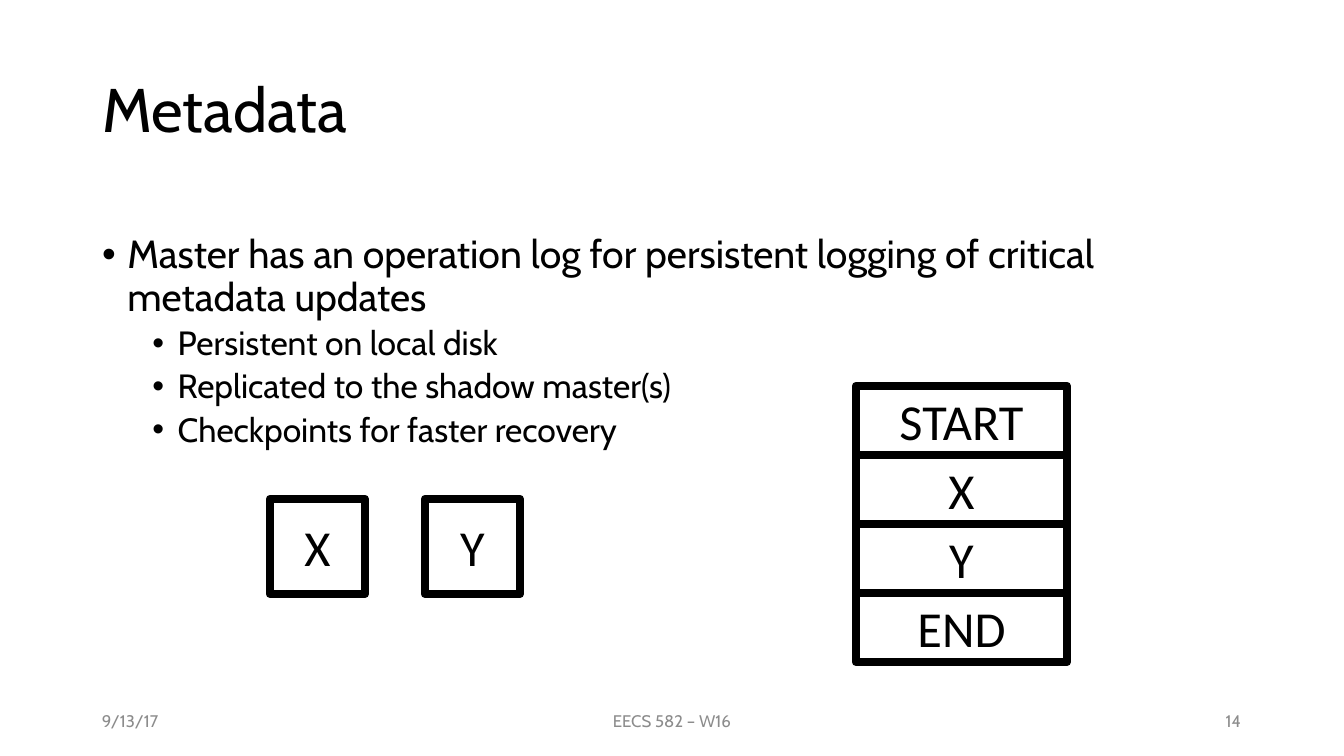
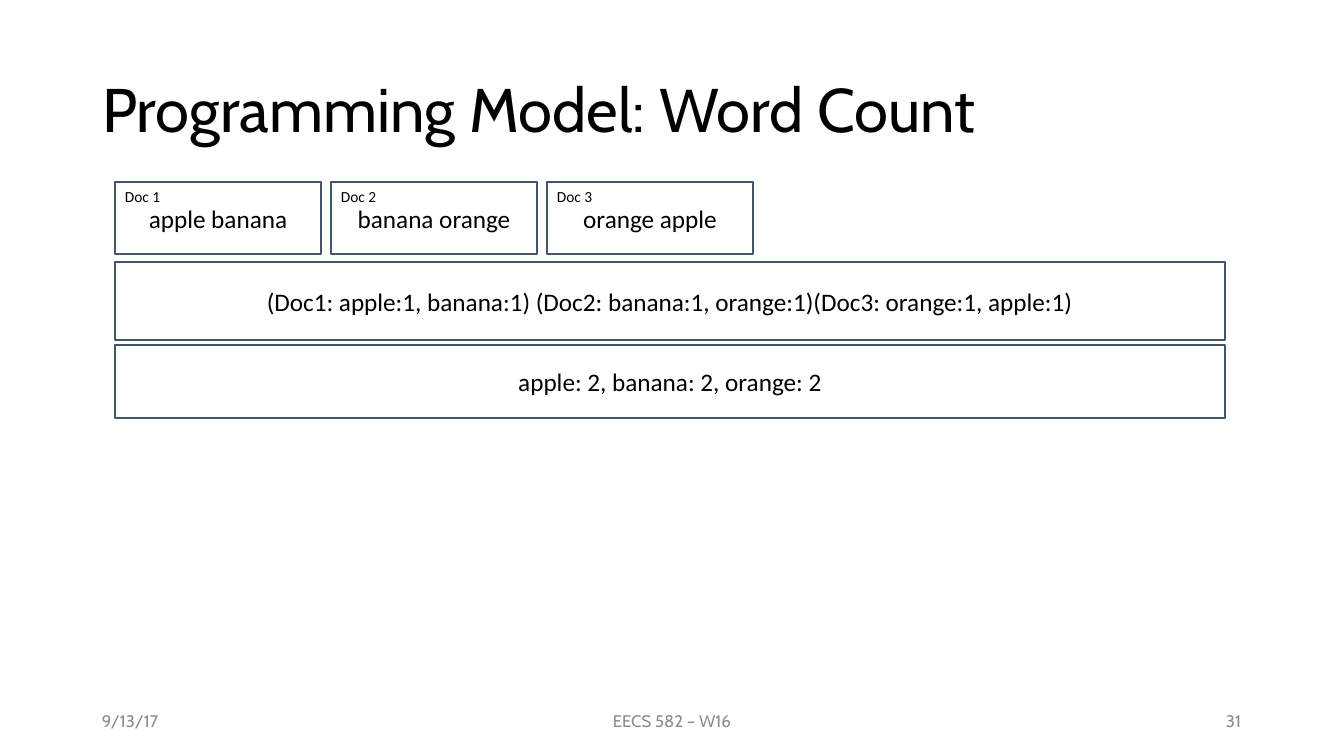
import pptx
import pptx.dml.color
import pptx.enum.shapes
import pptx.enum.text
import pptx.oxml
import pptx.oxml.ns
import pptx.util

PX = 914400 / 100.8
C = {"text": "000000", "muted": "8C8C8C", "paper": "FFFFFF", "slate": "44546A"}
HEAD, PLAIN = "Cabin", "Calibri"
ALIGN = pptx.enum.text.PP_ALIGN
ANCHOR = pptx.enum.text.MSO_ANCHOR
TITLE = (92, 40, 1159, 146)
BODY = (92, 202, 1159, 280)
FOOTERS = (("9/13/17", 92, 302, ALIGN.LEFT), ("EECS 582 – W16", 445, 454, ALIGN.CENTER))


def emu(*px):
    """Turn px lengths into EMU."""
    return [pptx.util.Emu(round(v * PX)) for v in px]


def rgb(name):
    """Look up a named colour."""
    return pptx.dml.color.RGBColor.from_string(C[name])


def write(tf, text, size=18, font=PLAIN, color="text", align=ALIGN.LEFT,
          anchor=ANCHOR.MIDDLE, level=None, spacing=None, before=0):
    """Write one paragraph, bulleted when a level is given."""
    tf.word_wrap = True
    tf.vertical_anchor = anchor
    p = tf.add_paragraph() if tf.text else tf.paragraphs[0]
    if level is not None:
        p.level = level
        pPr = p._p.get_or_add_pPr()
        pPr.set("marL", str(228600 + 457200 * level))
        pPr.set("indent", "-228600")
        ns = pptx.oxml.ns.nsdecls("a")
        pPr.append(pptx.oxml.parse_xml(f'<a:buFont {ns} typeface="Arial"/>'))
        pPr.append(pptx.oxml.parse_xml(f'<a:buChar {ns} char="•"/>'))
    p.alignment = align
    p.space_before = pptx.util.Pt(before)
    if spacing:
        p.line_spacing = spacing
    r = p.add_run()
    r.text = text
    r.font.size = pptx.util.Pt(size)
    r.font.name = font
    r.font.color.rgb = rgb(color)


def place(ph, box):
    """Move a placeholder to a box and return its text frame."""
    ph.left, ph.top, ph.width, ph.height = emu(*box)
    ph.text_frame.auto_size = pptx.enum.text.MSO_AUTO_SIZE.NONE
    return ph.text_frame


def add_label(shapes, text, box, **fmt):
    """Add a text box."""
    write(shapes.add_textbox(*emu(*box)).text_frame, text, **fmt)


def add_box(shapes, text, box, line="slate", weight=1, fill=None, size=18):
    """Add an outlined rectangle with centred text."""
    sp = shapes.add_shape(pptx.enum.shapes.MSO_SHAPE.RECTANGLE, *emu(*box))
    sp.shadow.inherit = False
    if fill:
        sp.fill.solid()
        sp.fill.fore_color.rgb = rgb(fill)
    else:
        sp.fill.background()
    sp.line.color.rgb = rgb(line)
    sp.line.width = pptx.util.Pt(weight)
    write(sp.text_frame, text, size=size, align=ALIGN.CENTER)


def add_slide(prs, layout, title, number):
    """Add a slide with its title and footers."""
    s = prs.slides.add_slide(prs.slide_layouts[layout])
    write(place(s.shapes.title, TITLE), title, size=44, font=HEAD, spacing=0.9)
    for text, x, w, align in FOOTERS + ((number, 949, 302, ALIGN.RIGHT),):
        add_label(s.shapes, text, (x, 701, w, 40), size=12, font=HEAD,
                  color="muted", align=align)
    return s


def add_bullets(s, box, items):
    """Fill the body placeholder with a two-level list."""
    tf = place(s.placeholders[1], box)
    for i, (level, text) in enumerate(items):
        write(tf, text, size=28 - 4 * level, font=HEAD, level=level,
              spacing=0.9, before=5 if i else 0)


def add_cells(shapes, texts, box, dx=0, dy=0):
    """Repeat heavy cells at a fixed step from the first box."""
    x, y, w, h = box
    for i, text in enumerate(texts):
        add_box(shapes, text, (x + i * dx, y + i * dy, w, h),
                line="text", weight=6, fill="paper", size=36)


def add_docs(s, box, gap, docs):
    """Add a row of documents, each with a number in its corner."""
    x, y, w, h = box
    for i, words in enumerate(docs):
        left = x + i * (w + gap)
        g = s.shapes.add_group_shape()
        add_box(g.shapes, words, (left, y, w, h))
        add_label(g.shapes, f"Doc {i + 1}", (left, y, 90, 29), size=11, anchor=ANCHOR.TOP)


def metadata_slide(prs):
    """Build the operation log slide."""
    s = add_slide(prs, 1, "Metadata", "14")
    add_bullets(s, BODY, (
        (0, "Master has an operation log for persistent logging of critical metadata updates"),
        (1, "Persistent on local disk"),
        (1, "Replicated to the shadow master(s)"),
        (1, "Checkpoints for faster recovery"),
    ))
    add_cells(s.shapes, ("X", "Y"), (270, 499, 95, 95), dx=155)
    log = s.shapes.add_group_shape()
    add_cells(log.shapes, ("START", "X", "Y", "END"), (856, 386, 211, 69), dy=69)


def word_count_slide(prs):
    """Build the word count slide."""
    s = add_slide(prs, 5, "Programming Model: Word Count", "31")
    add_docs(s, (115, 182, 206, 72), 10, ("apple banana", "banana orange", "orange apple"))
    add_box(s.shapes, "(Doc1: apple:1, banana:1) (Doc2: banana:1, orange:1)"
            "(Doc3: orange:1, apple:1)", (115, 262, 1110, 78))
    add_box(s.shapes, "apple: 2, banana: 2, orange: 2", (115, 345, 1110, 73))


def main():
    """Build and save the presentation."""
    prs = pptx.Presentation()
    prs.slide_width, prs.slide_height = emu(1344, 756)
    metadata_slide(prs)
    word_count_slide(prs)
    prs.save("out.pptx")


if __name__ == "__main__":
    main()
